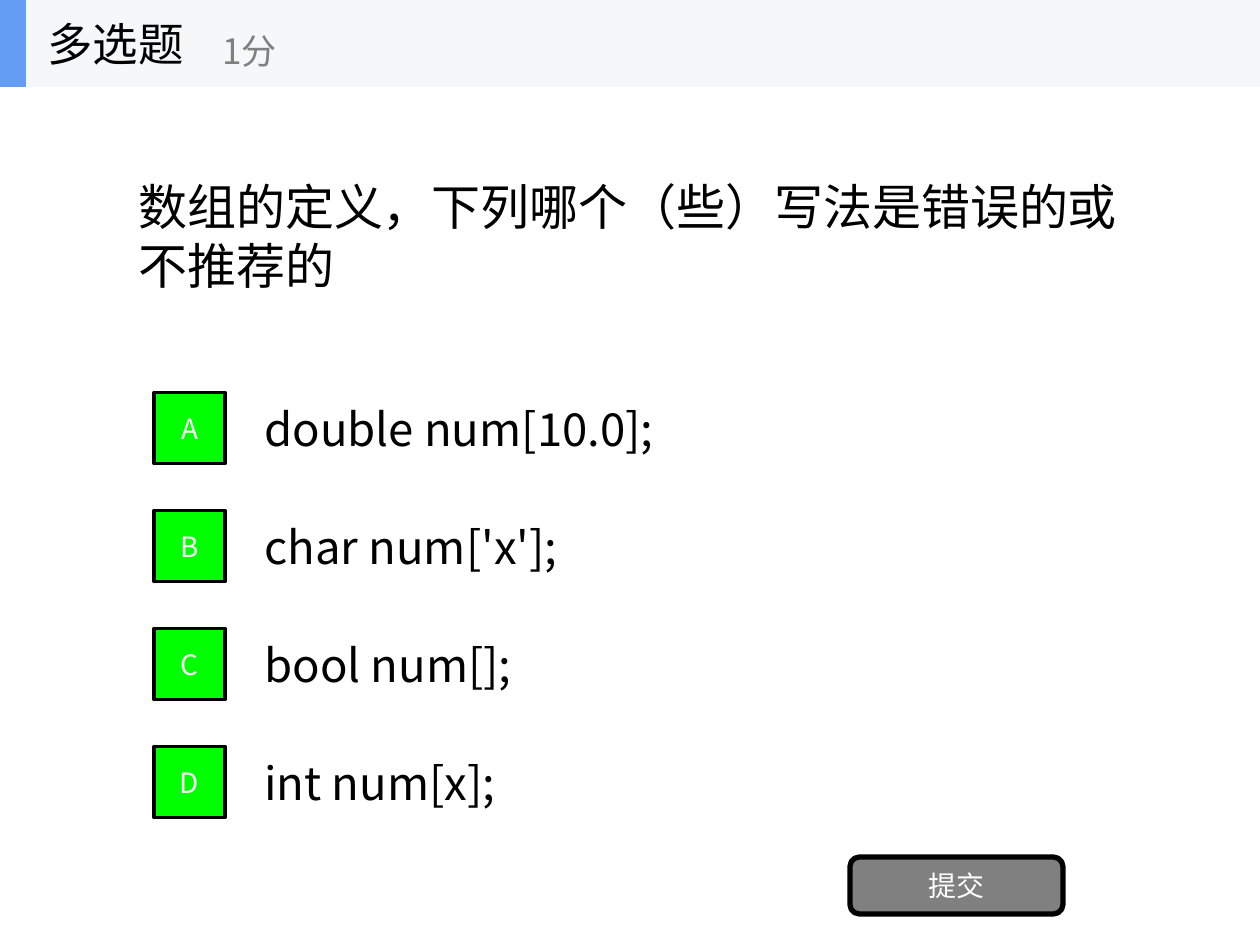
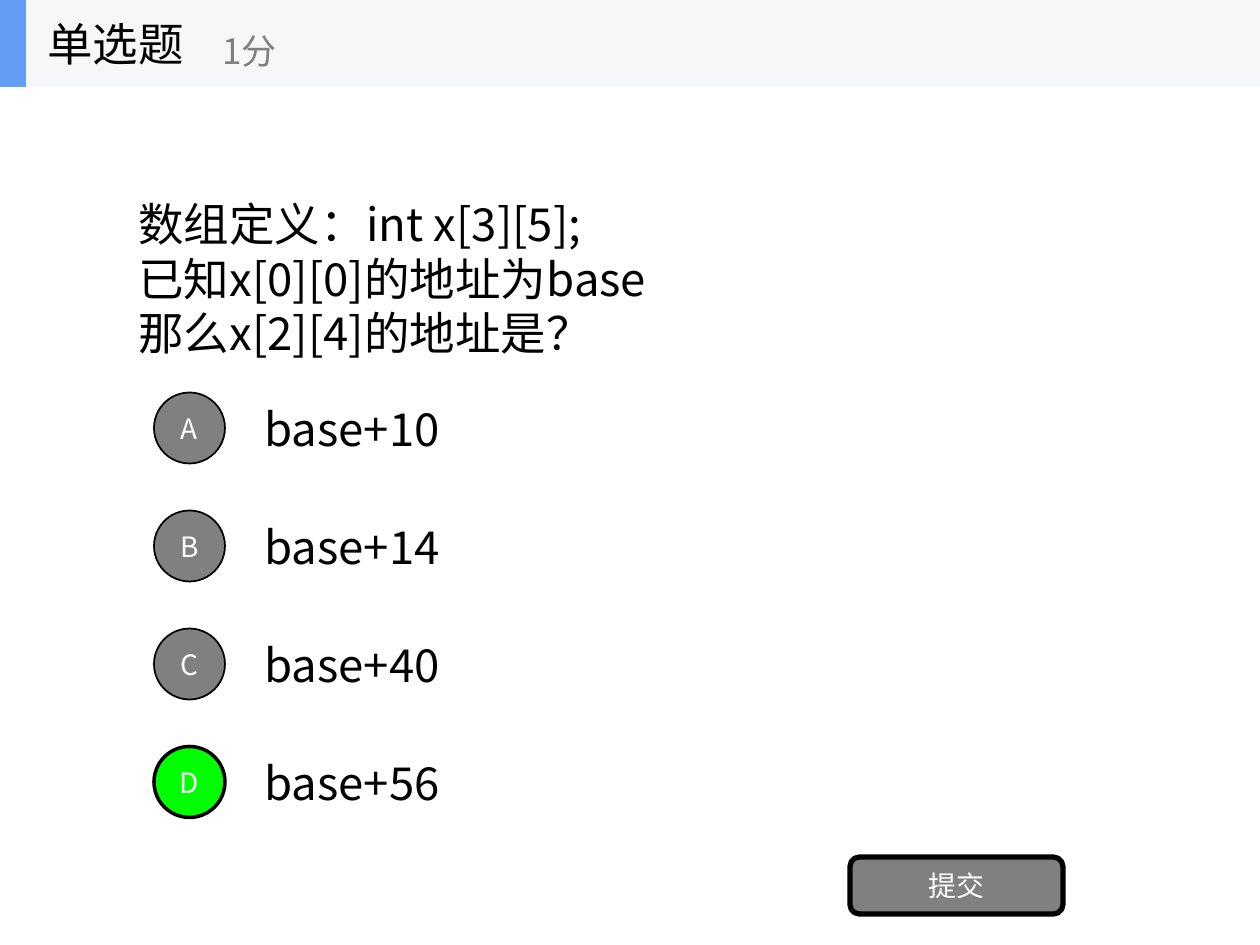
import pptx
import pptx.util
import pptx.dml.color
import pptx.enum.shapes
import pptx.enum.text
import pptx.oxml
import pptx.oxml.ns
from dataclasses import dataclass

SHAPE = pptx.enum.shapes.MSO_SHAPE
ALIGN = pptx.enum.text.PP_ALIGN
ANCHOR = pptx.enum.text.MSO_ANCHOR

QUESTIONS = [
    {
        "kind": "多选题",
        "points": "1分",
        "prompt": ["数组的定义，下列哪个（些）写法是错误的或不推荐的"],
        "prompt_size": 28,
        "prompt_top": 87,
        "options": ["double num[10.0];", "char num['x'];", "bool num[];", "int num[x];"],
        "correct": "ABCD",
        "marker": SHAPE.RECTANGLE,
    },
    {
        "kind": "单选题",
        "points": "1分",
        "prompt": ["数组定义：int x[3][5];", "已知x[0][0]的地址为base", "那么x[2][4]的地址是？"],
        "prompt_size": 26,
        "prompt_top": 173,
        "options": ["base+10", "base+14", "base+40", "base+56"],
        "correct": "D",
        "marker": SHAPE.OVAL,
    },
]
SUBMIT = "提交"


@dataclass(frozen=True)
class Theme:
    font: str = "Noto Sans CJK SC"
    ink: str = "000000"
    white: str = "FFFFFF"
    gray: str = "808080"
    correct: str = "00FF00"
    band: str = "F6F7F8"
    accent: str = "639EF4"
    body: int = 26
    points: int = 20
    label: int = 16


THEME = Theme()
WIDTH, HEIGHT = 1260, 945
BAND_HEIGHT = 87
PROMPT_LEFT, PROMPT_WIDTH, PROMPT_BOTTOM = 126, 1008, 383
OPTION_LEFT, OPTION_TOP, OPTION_WIDTH, OPTION_HEIGHT = 252, 384, 882, 88
OPTION_PITCH = 118
MARKER_LEFT, MARKER_SIZE = 154, 71
SUBMIT_BOX = (850, 857, 213, 57)


def px(n):
    return pptx.util.Emu(round(n * 914400 / 126))


def rgb(color):
    return pptx.dml.color.RGBColor.from_string(color)


def write(sp, lines, size=THEME.body, color=THEME.ink, align=ALIGN.LEFT, wrap=True):
    tf = sp.text_frame
    tf.word_wrap = wrap
    tf.vertical_anchor = ANCHOR.MIDDLE
    for i, line in enumerate(lines):
        p = tf.add_paragraph() if i else tf.paragraphs[0]
        p.alignment = align
        r = p.add_run()
        r.text = line
        r.font.name = THEME.font
        r.font.size = pptx.util.Pt(size)
        r.font.color.rgb = rgb(color)
        ea = pptx.oxml.parse_xml(
            f'<a:ea {pptx.oxml.ns.nsdecls("a")} typeface="{THEME.font}"/>')
        r.font._element.append(ea)


def add_text(shapes, box, lines, **fmt):
    write(shapes.add_textbox(*map(px, box)), lines, **fmt)


def add_box(shapes, kind, box, fill, line=0, label=None):
    sp = shapes.add_shape(kind, *map(px, box))
    sp.shadow.inherit = False
    sp.fill.solid()
    sp.fill.fore_color.rgb = rgb(fill)
    if line:
        sp.line.color.rgb = rgb(THEME.ink)
        sp.line.width = pptx.util.Pt(line)
    else:
        sp.line.fill.background()
    if label:
        write(sp, [label], size=THEME.label, color=THEME.white,
              align=ALIGN.CENTER, wrap=False)


def add_header(s, kind, points):
    header = s.shapes.add_group_shape().shapes
    add_box(header, SHAPE.RECTANGLE, (0, 0, WIDTH, BAND_HEIGHT), THEME.band)
    add_box(header, SHAPE.RECTANGLE, (0, 0, 26, BAND_HEIGHT), THEME.accent)
    add_text(header, (35, 0, 262, BAND_HEIGHT), [kind], wrap=False)
    add_text(header, (210, 15, 315, 71), [points],
             size=THEME.points, color=THEME.gray, wrap=False)


def add_options(s, question):
    for i, option in enumerate(question["options"]):
        top = OPTION_TOP + i * OPTION_PITCH
        add_text(s.shapes, (OPTION_LEFT, top, OPTION_WIDTH, OPTION_HEIGHT), [option])
    for i, letter in enumerate("ABCD"):
        top = OPTION_TOP + i * OPTION_PITCH + (OPTION_HEIGHT - MARKER_SIZE) / 2
        correct = letter in question["correct"]
        add_box(s.shapes, question["marker"], (MARKER_LEFT, top, MARKER_SIZE, MARKER_SIZE),
                THEME.correct if correct else THEME.gray,
                line=2 if correct else 1, label=letter)


def add_question(prs, question):
    s = prs.slides.add_slide(prs.slide_layouts[6])
    top = question["prompt_top"]
    add_text(s.shapes, (PROMPT_LEFT, top, PROMPT_WIDTH, PROMPT_BOTTOM - top),
             question["prompt"], size=question["prompt_size"])
    add_options(s, question)
    add_box(s.shapes, SHAPE.ROUNDED_RECTANGLE, SUBMIT_BOX, THEME.gray, line=3, label=SUBMIT)
    add_header(s, question["kind"], question["points"])


def main():
    prs = pptx.Presentation()
    prs.slide_width, prs.slide_height = px(WIDTH), px(HEIGHT)
    for question in QUESTIONS:
        add_question(prs, question)
    prs.save("out.pptx")


if __name__ == "__main__":
    main()
